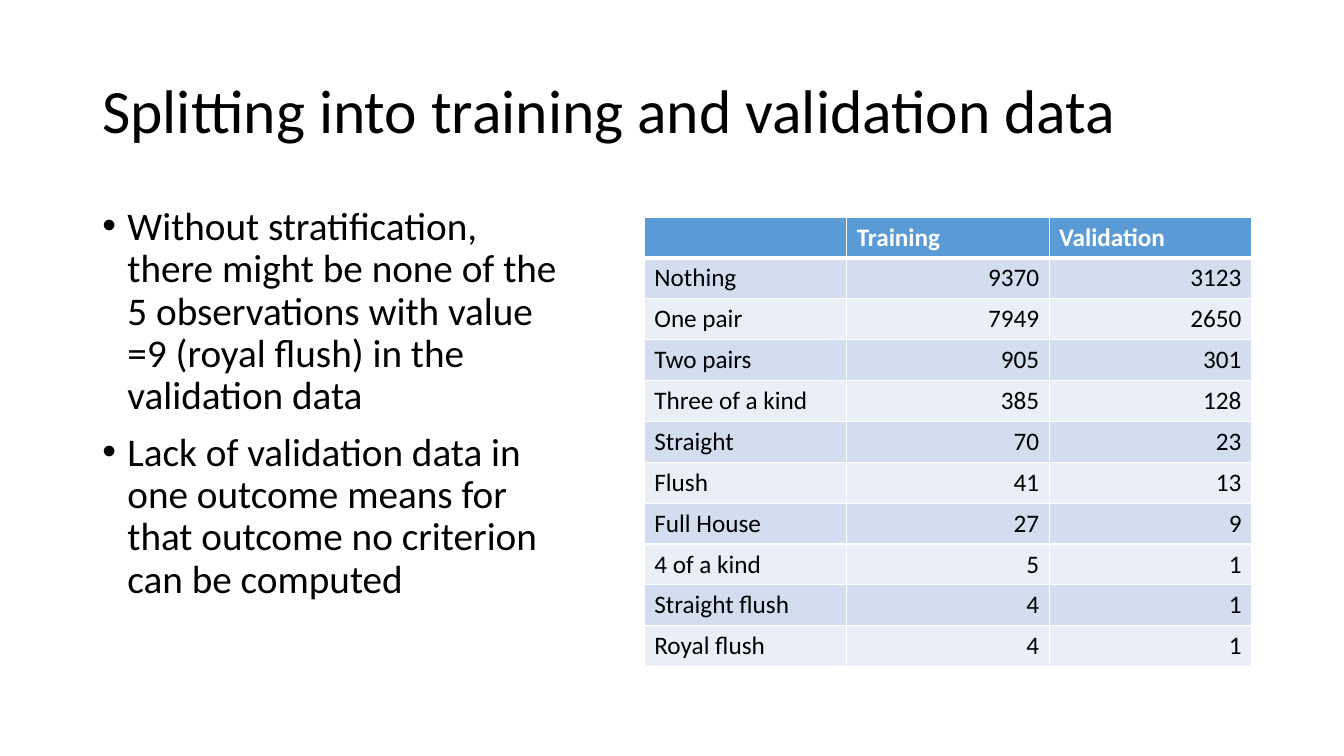
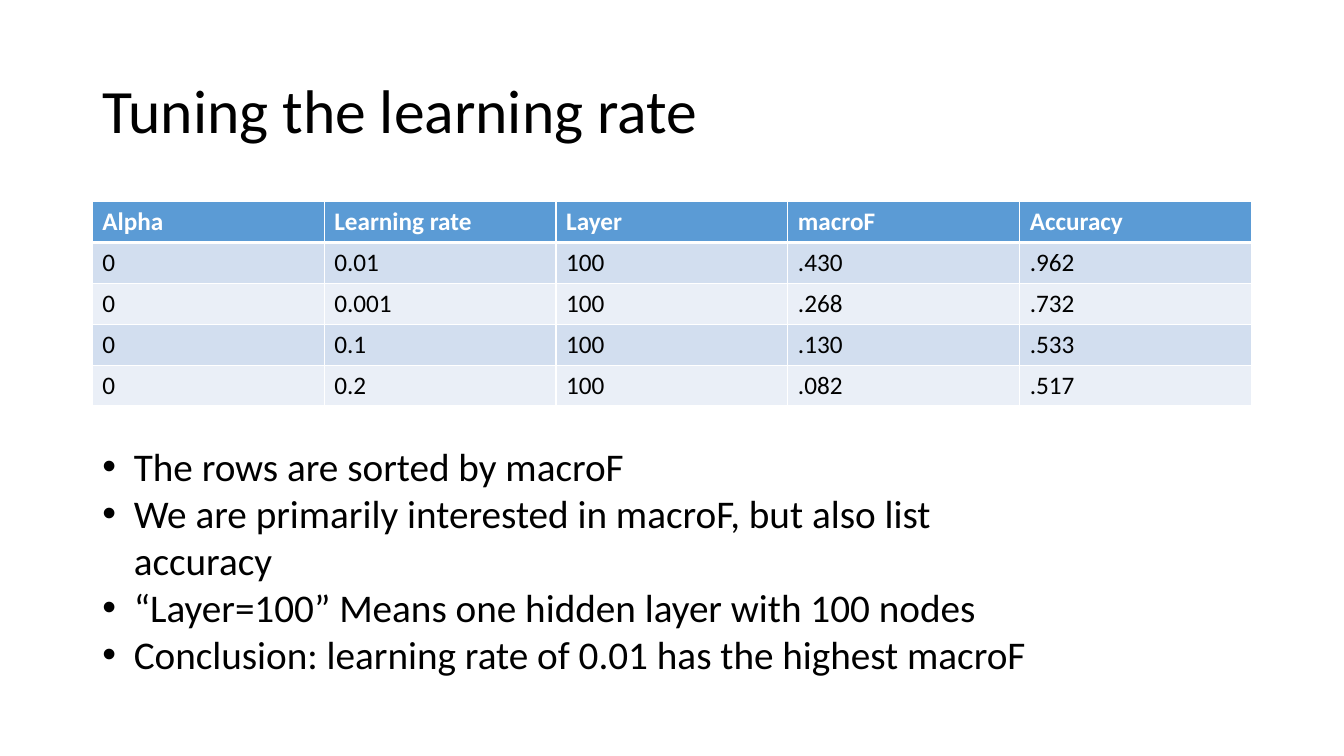
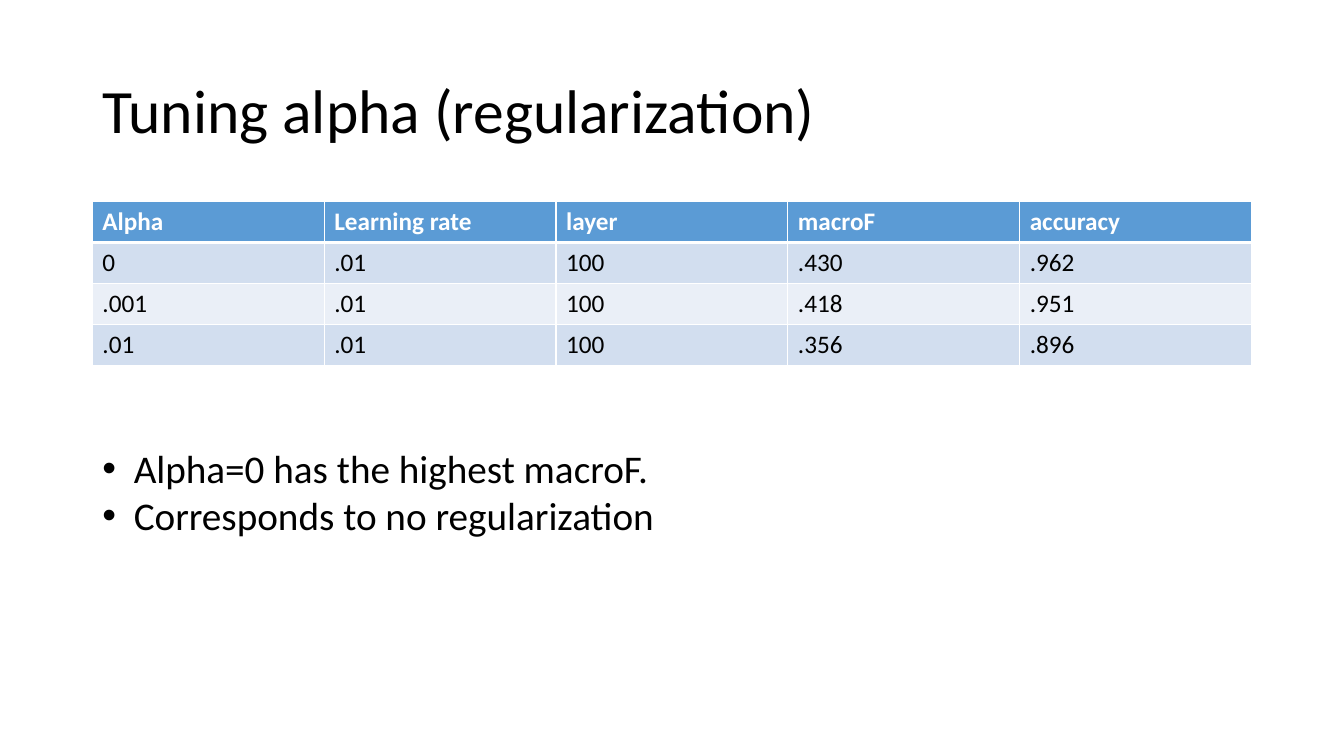
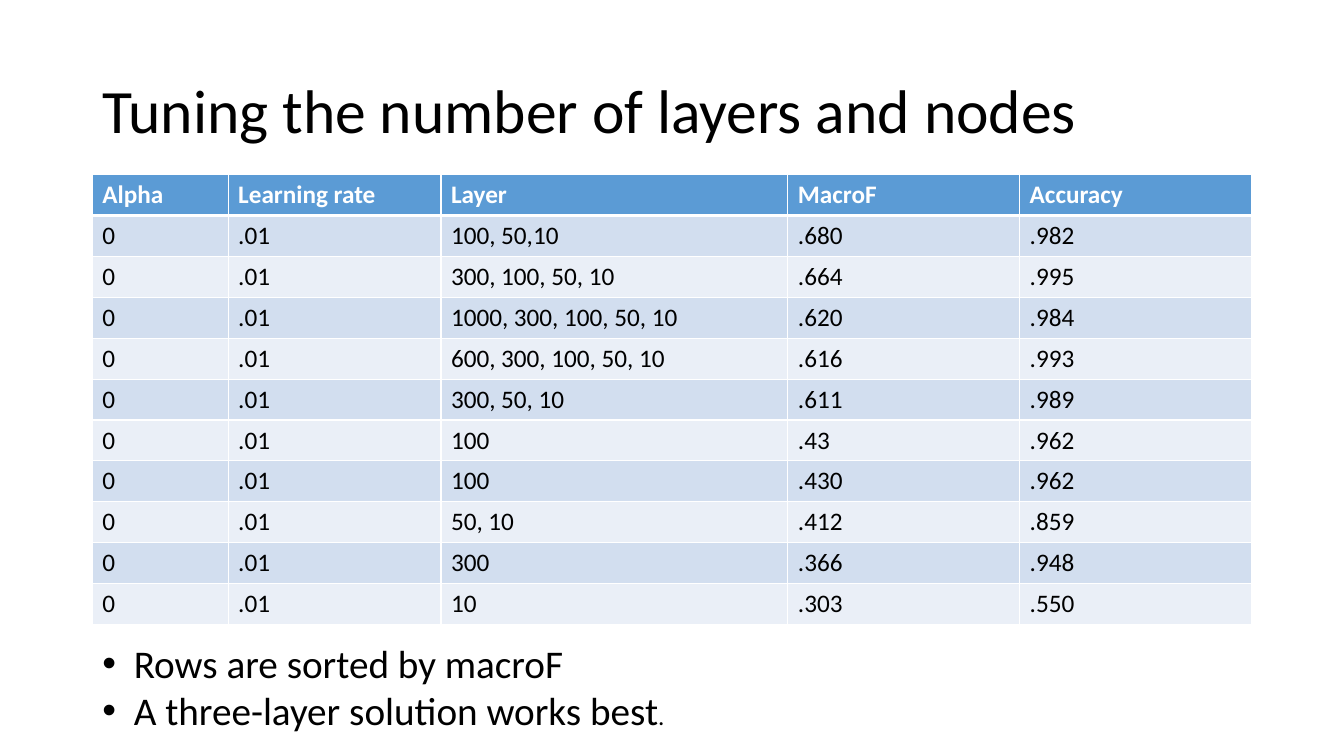
from lxml.etree import SubElement
from pptx import Presentation
from pptx.dml.color import RGBColor
from pptx.enum.text import MSO_ANCHOR, MSO_AUTO_SIZE, PP_ALIGN
from pptx.oxml.ns import qn
from pptx.util import Pt

BLACK = RGBColor(0x00, 0x00, 0x00)
WHITE = RGBColor(0xFF, 0xFF, 0xFF)
HEADER_BLUE = RGBColor(0x5B, 0x9B, 0xD5)
BAND_DARK = RGBColor(0xD2, 0xDE, 0xEF)
BAND_LIGHT = RGBColor(0xEA, 0xEF, 0xF7)

LEFT = 66
WIDTH = 828
ROW_HEIGHT = 29.2

TITLE = {"size": Pt(44), "bold": False}
BODY = {"size": Pt(28), "bold": False}
SMALL = {"size": Pt(18), "bold": False}
HEADER = {"size": Pt(18), "bold": True}

TIGHT = {"line_spacing": 0.9, "space_before": Pt(10)}
PLAIN = {"line_spacing": 1.0, "space_before": Pt(0)}


class Deck:
    font = "Calibri"

    def __init__(self):
        self.prs = Presentation()
        self.prs.slide_width = Pt(960)
        self.prs.slide_height = Pt(540)
        self.slide = None

    def add_slide(self, title):
        self.slide = self.prs.slides.add_slide(self.prs.slide_layouts[6])
        tf = self.text_frame(LEFT, 28.8, WIDTH, 104.4)
        tf.vertical_anchor = MSO_ANCHOR.MIDDLE
        p = tf.paragraphs[0]
        p.line_spacing = 0.9
        self.run(p, title, TITLE)

    def text_frame(self, left, top, width, height):
        sp = self.slide.shapes.add_textbox(Pt(left), Pt(top), Pt(width), Pt(height))
        tf = sp.text_frame
        tf.word_wrap = True
        return tf

    def run(self, p, text, style, color=BLACK):
        r = p.add_run()
        r.text = text
        r.font.name = self.font
        r.font.color.rgb = color
        for name, value in style.items():
            setattr(r.font, name, value)

    def bullets(self, top, width, height, items, indent=22.5, spacing=PLAIN):
        tf = self.text_frame(LEFT, top, width, height)
        if spacing is PLAIN:
            tf.auto_size = MSO_AUTO_SIZE.SHAPE_TO_FIT_TEXT
        for i, item in enumerate(items):
            p = tf.add_paragraph() if i else tf.paragraphs[0]
            for name, value in spacing.items():
                setattr(p, name, value)
            pPr = p._p.get_or_add_pPr()
            pPr.set("marL", str(Pt(indent)))
            pPr.set("indent", str(-Pt(indent)))
            SubElement(pPr, qn("a:buFont"), typeface="Arial")
            SubElement(pPr, qn("a:buChar"), char="•")
            self.run(p, item, BODY)
        return tf

    def borders(self, cell, row):
        tcPr = cell._tc.get_or_add_tcPr()
        widths = {"lnL": 1, "lnR": 1, "lnT": 3 if row == 1 else 1, "lnB": 1 if row else 3}
        for tag, width in widths.items():
            ln = SubElement(tcPr, qn(f"a:{tag}"), w=str(Pt(width)))
            fill = SubElement(ln, qn("a:solidFill"))
            SubElement(fill, qn("a:srgbClr"), val=str(WHITE))

    def table(self, left, top, widths, rows, numbers_right=False):
        frame = self.slide.shapes.add_table(
            len(rows), len(widths), Pt(left), Pt(top),
            Pt(sum(widths)), Pt(ROW_HEIGHT * len(rows)))
        table = frame.table
        for column, width in zip(table.columns, widths):
            column.width = Pt(width)
        for i, row in enumerate(rows):
            table.rows[i].height = Pt(ROW_HEIGHT)
            band = BAND_DARK if i % 2 else BAND_LIGHT
            for j, text in enumerate(row):
                cell = table.cell(i, j)
                self.borders(cell, i)
                cell.fill.solid()
                cell.fill.fore_color.rgb = band if i else HEADER_BLUE
                p = cell.text_frame.paragraphs[0]
                if numbers_right and i and j:
                    p.alignment = PP_ALIGN.RIGHT
                if text:
                    self.run(p, text, SMALL if i else HEADER, BLACK if i else WHITE)


def main():
    deck = Deck()
    equal_columns = [WIDTH / 5] * 5

    deck.add_slide("Splitting into training and validation data")
    deck.bullets(144, 341.3, 342.7, [
        "Without stratification, there might be none of the 5 observations "
        "with value =9 (royal flush) in the validation data",
        "Lack of validation data in one outcome means for that outcome "
        "no criterion can be computed",
    ], indent=18, spacing=TIGHT)
    deck.table(460.2, 155, [144.6] * 3, [
        ("", "Training", "Validation"),
        ("Nothing", "9370", "3123"),
        ("One pair", "7949", "2650"),
        ("Two pairs", "905", "301"),
        ("Three of a kind", "385", "128"),
        ("Straight", "70", "23"),
        ("Flush", "41", "13"),
        ("Full House", "27", "9"),
        ("4 of a kind", "5", "1"),
        ("Straight flush", "4", "1"),
        ("Royal flush", "4", "1"),
    ], numbers_right=True)

    deck.add_slide("Tuning the learning rate")
    deck.table(LEFT, 144, equal_columns, [
        ("Alpha", "Learning rate", "Layer", "macroF", "Accuracy"),
        ("0", "0.01", "100", ".430", ".962"),
        ("0", "0.001", "100", ".268", ".732"),
        ("0", "0.1", "100", ".130", ".533"),
        ("0", "0.2", "100", ".082", ".517"),
    ])
    deck.bullets(312.5, 675.4, 177, [
        "The rows are sorted by macroF",
        "We are primarily interested in macroF, but also list accuracy",
        "“Layer=100” Means one hidden layer with 100 nodes",
        "Conclusion: learning rate of 0.01 has the highest macroF",
    ])

    deck.add_slide("Tuning alpha (regularization)")
    deck.table(LEFT, 144, equal_columns, [
        ("Alpha", "Learning rate", "layer", "macroF", "accuracy"),
        ("0", ".01", "100", ".430", ".962"),
        (".001", ".01", "100", ".418", ".951"),
        (".01", ".01", "100", ".356", ".896"),
    ])
    deck.bullets(314, 489.6, 75, [
        "Alpha=0 has the highest macroF.",
        "Corresponds to no regularization",
    ])

    deck.add_slide("Tuning the number of layers and nodes")
    layer_results = [
        ("100, 50,10", ".680", ".982"),
        ("300, 100, 50, 10", ".664", ".995"),
        ("1000, 300, 100, 50, 10", ".620", ".984"),
        ("600, 300, 100, 50, 10", ".616", ".993"),
        ("300, 50, 10", ".611", ".989"),
        ("100", ".43", ".962"),
        ("100", ".430", ".962"),
        ("50, 10", ".412", ".859"),
        ("300", ".366", ".948"),
        ("10", ".303", ".550"),
    ]
    deck.table(LEFT, 124.8, [97, 152, 247.8, 165.6, 165.6], [
        ("Alpha", "Learning rate", "Layer", "MacroF", "Accuracy"),
        *[("0", ".01", *result) for result in layer_results],
    ])
    tf = deck.bullets(453.4, 697.7, 75, [
        "Rows are sorted by macroF",
        "A three-layer solution works best",
    ])
    deck.run(tf.paragraphs[-1], ".", SMALL)

    deck.prs.save("out.pptx")


if __name__ == "__main__":
    main()
